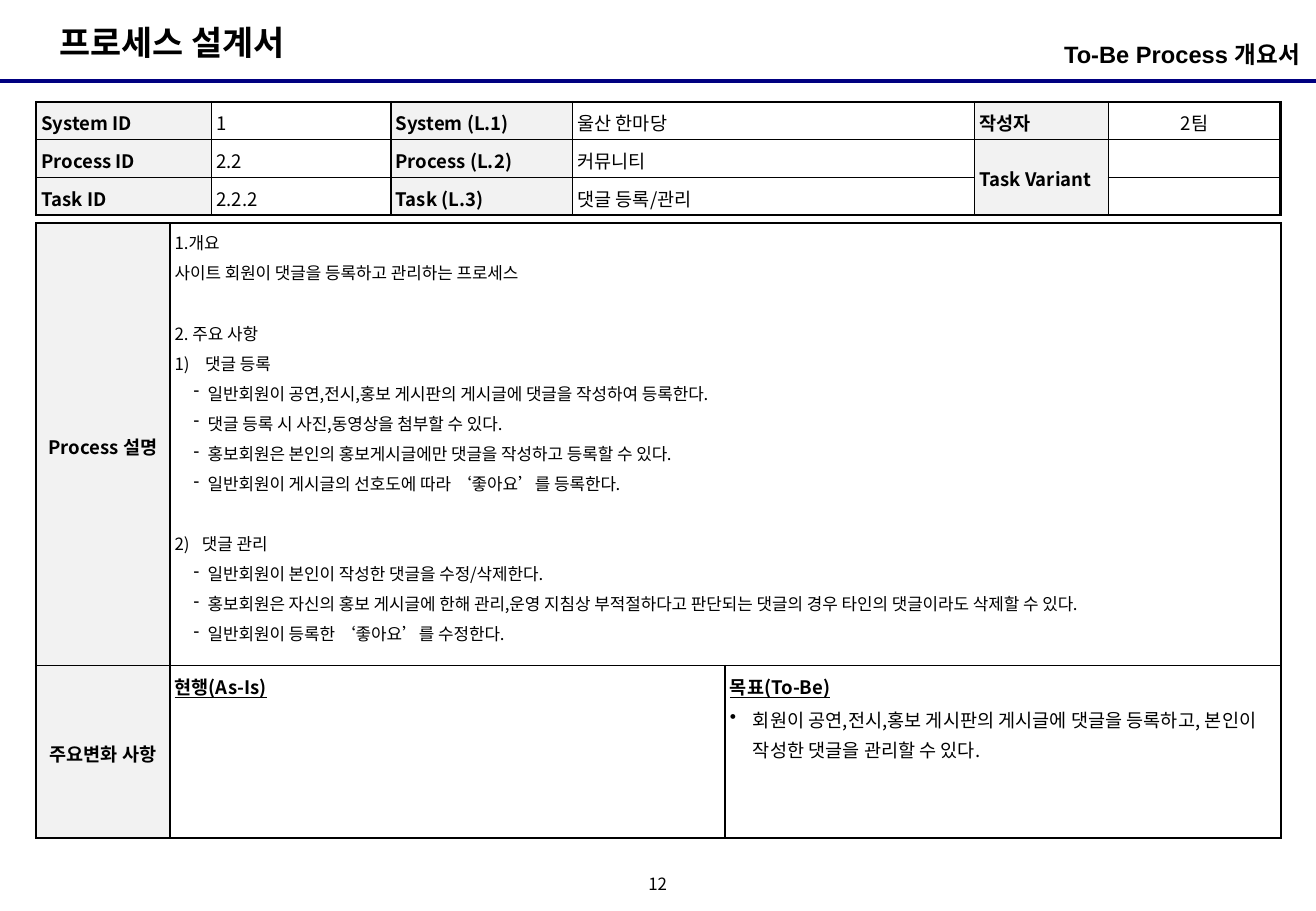
from lxml import etree
from pptx import Presentation
from pptx.dml.color import RGBColor
from pptx.enum.shapes import MSO_CONNECTOR
from pptx.enum.text import MSO_ANCHOR, PP_ALIGN
from pptx.oxml.ns import qn
from pptx.util import Cm, Pt

STRAIGHT = MSO_CONNECTOR.STRAIGHT
LEFT, MID, RIGHT = PP_ALIGN.LEFT, PP_ALIGN.CENTER, PP_ALIGN.RIGHT
TOP, CENTER = MSO_ANCHOR.TOP, MSO_ANCHOR.MIDDLE
COLORS = {"ink": "000000", "rule": "000080", "label": "F2F2F2", "plain": "FFFFFF"}
FONT = "Noto Sans CJK KR"
GAP = 18.9

HEAD = [
    ["System ID", "1", "System (L.1)", "울산 한마당", "작성자", "2팀"],
    ["Process ID", "2.2", "Process (L.2)", "커뮤니티", "Task Variant", ""],
    ["Task ID", "2.2.2", "Task (L.3)", "댓글 등록/관리", "", ""],
]
NOTES = [
    ("text", "1.개요"),
    ("text", "사이트 회원이 댓글을 등록하고 관리하는 프로세스"),
    ("part", "2. 주요 사항"),
    ("first", "댓글 등록"),
    ("dash", "일반회원이 공연,전시,홍보 게시판의 게시글에 댓글을 작성하여 등록한다."),
    ("dash", "댓글 등록 시 사진,동영상을 첨부할 수 있다."),
    ("dash", "홍보회원은 본인의 홍보게시글에만 댓글을 작성하고 등록할 수 있다."),
    ("dash", "일반회원이 게시글의 선호도에 따라 ‘좋아요’를 등록한다."),
    ("next", "댓글 관리"),
    ("dash", "일반회원이 본인이 작성한 댓글을 수정/삭제한다."),
    ("dash", "홍보회원은 자신의 홍보 게시글에 한해 관리,운영 지침상 부적절하다고 "
             "판단되는 댓글의 경우 타인의 댓글이라도 삭제할 수 있다."),
    ("dash", "일반회원이 등록한 ‘좋아요’를 수정한다."),
]
GOAL = "회원이 공연,전시,홍보 게시판의 게시글에 댓글을 등록하고, 본인이 작성한 댓글을 관리할 수 있다."
MARKS = {
    "first": (0.64, 0.64, "buAutoNum", {"type": "arabicParenR"}),
    "next": (0.57, 0.57, "buAutoNum", {"type": "arabicParenR", "startAt": "2"}),
    "dash": (0.69, 0.29, "buChar", {"char": "-"}),
    "dot": (0.48, 0.48, "buChar", {"char": "•"}),
}


def color(name):
    return RGBColor.from_string(COLORS[name])


def style(para, size, bold=False, line=False, face=FONT):
    for run in para.runs:
        font = run.font
        font.size, font.bold, font.name = Pt(size), bold, face
        font.underline = line
        font.color.rgb = color("ink")
        east = etree.SubElement(run._r.get_or_add_rPr(), qn("a:ea"))
        east.set("typeface", FONT)


def mark(para, kind):
    left, hang, tag, attrs = MARKS[kind]
    props = para._p.get_or_add_pPr()
    props.set("marL", str(Cm(left)))
    props.set("indent", str(-Cm(hang)))
    etree.SubElement(props, qn("a:" + tag), attrs)


def write(frame, text, size, bold=False, kind="text", line=False, align=LEFT, new=False):
    para = frame.add_paragraph() if new else frame.paragraphs[0]
    para.text = text
    para.alignment = align
    para.line_spacing = 1.1
    para.space_after = Pt(1)
    if new:
        para.space_before = Pt(GAP if kind in ("part", "next") else 1)
    if kind in MARKS:
        mark(para, kind)
    style(para, size, bold, line)
    if not text:
        etree.SubElement(para._p, qn("a:endParaRPr"), {"sz": str(size * 100)})


def edge(cell, side, width):
    line = etree.SubElement(cell._tc.get_or_add_tcPr(), qn("a:ln" + side), {"w": str(Pt(width))})
    fill = etree.SubElement(line, qn("a:solidFill"))
    etree.SubElement(fill, qn("a:srgbClr"), {"val": COLORS["ink"]})


def grid(slide, left, top, widths, heights, spans, labels):
    rows, cols = len(heights), len(widths)
    table = slide.shapes.add_table(
        rows, cols, Cm(left), Cm(top), Cm(sum(widths)), Cm(sum(heights))).table
    table.first_row = table.horz_banding = False
    for col, width in zip(table.columns, widths):
        col.width = Cm(width)
    for row, height in zip(table.rows, heights):
        row.height = Cm(height)
    for start, end in spans:
        table.cell(*start).merge(table.cell(*end))
    for r in range(rows):
        for c in range(cols):
            cell = table.cell(r, c)
            outer = {
                "L": c == 0,
                "R": c + cell.span_width == cols,
                "T": r == 0,
                "B": r + cell.span_height == rows,
            }
            for side, thick in outer.items():
                edge(cell, side, 1.5 if thick else 1)
            cell.fill.solid()
            cell.fill.fore_color.rgb = color("label" if c in labels else "plain")
            cell.margin_left = cell.margin_right = Cm(0.1)
            cell.margin_top = cell.margin_bottom = Cm(0.1)
    return table


def head(slide):
    table = grid(slide, 0.76, 2.13, [3.66, 3.75, 3.8, 8.4, 2.8, 3.6], [0.79] * 3,
                 [((1, 4), (2, 4))], (0, 2, 4))
    for r, row in enumerate(HEAD):
        for c, text in enumerate(row):
            cell = table.cell(r, c)
            cell.vertical_anchor = CENTER if c > 3 else TOP
            write(cell.text_frame, text, 11, c % 2 == 0, align=MID if c == 5 else LEFT)


def body(slide):
    table = grid(slide, 0.76, 4.67, [2.79, 11.61, 11.61], [9.25, 3.61],
                 [((0, 1), (0, 2))], (0,))
    for r, text in enumerate(["Process 설명", "주요변화 사항"]):
        cell = table.cell(r, 0)
        cell.vertical_anchor = CENTER
        write(cell.text_frame, text, 11, True, align=MID)
    frame = table.cell(0, 1).text_frame
    for i, (kind, text) in enumerate(NOTES):
        write(frame, text, 10, kind=kind, new=i > 0)
    for c, text in enumerate(["현행(As-Is)", "목표(To-Be)"], 1):
        write(table.cell(1, c).text_frame, text, 11, True, line=True)
    write(table.cell(1, 2).text_frame, GOAL, 11, kind="dot", new=True)


def label(slide, box, text, size, bold=True, align=LEFT, face=FONT, pad=0.25, wrap=False):
    frame = slide.shapes.add_textbox(*map(Cm, box)).text_frame
    frame.word_wrap = wrap
    frame.margin_left = frame.margin_right = Cm(pad)
    para = frame.paragraphs[0]
    para.text = text
    para.alignment = align
    style(para, size, bold, face=face)
    return frame


def rule(slide):
    line = slide.shapes.add_connector(STRAIGHT, Cm(0), Cm(1.7), Cm(27.51), Cm(1.7))
    line.line.color.rgb = color("rule")
    line.line.width = Pt(2.25)
    etree.SubElement(line._element.spPr, qn("a:effectLst"))


def main():
    deck = Presentation()
    deck.slide_width, deck.slide_height = Cm(27.51), Cm(19.05)
    slide = deck.slides.add_slide(deck.slide_layouts[6])
    rule(slide)
    label(slide, (0.99, 0.33, 5.74, 1.12), "프로세스 설계서", 20)
    page = label(slide, (13.33, 18.21, 0.84, 0.64), "12", 10, False, MID, pad=0)
    page.margin_top = page.margin_bottom = Cm(0)
    page.vertical_anchor = CENTER
    page.paragraphs[0].line_spacing = 0.8
    head(slide)
    body(slide)
    label(slide, (18.77, 0.71, 8.41, 0.99), "To-Be Process 개요서", 14,
          align=RIGHT, face="Arial", pad=0, wrap=True)
    deck.save("out.pptx")


if __name__ == "__main__":
    main()
